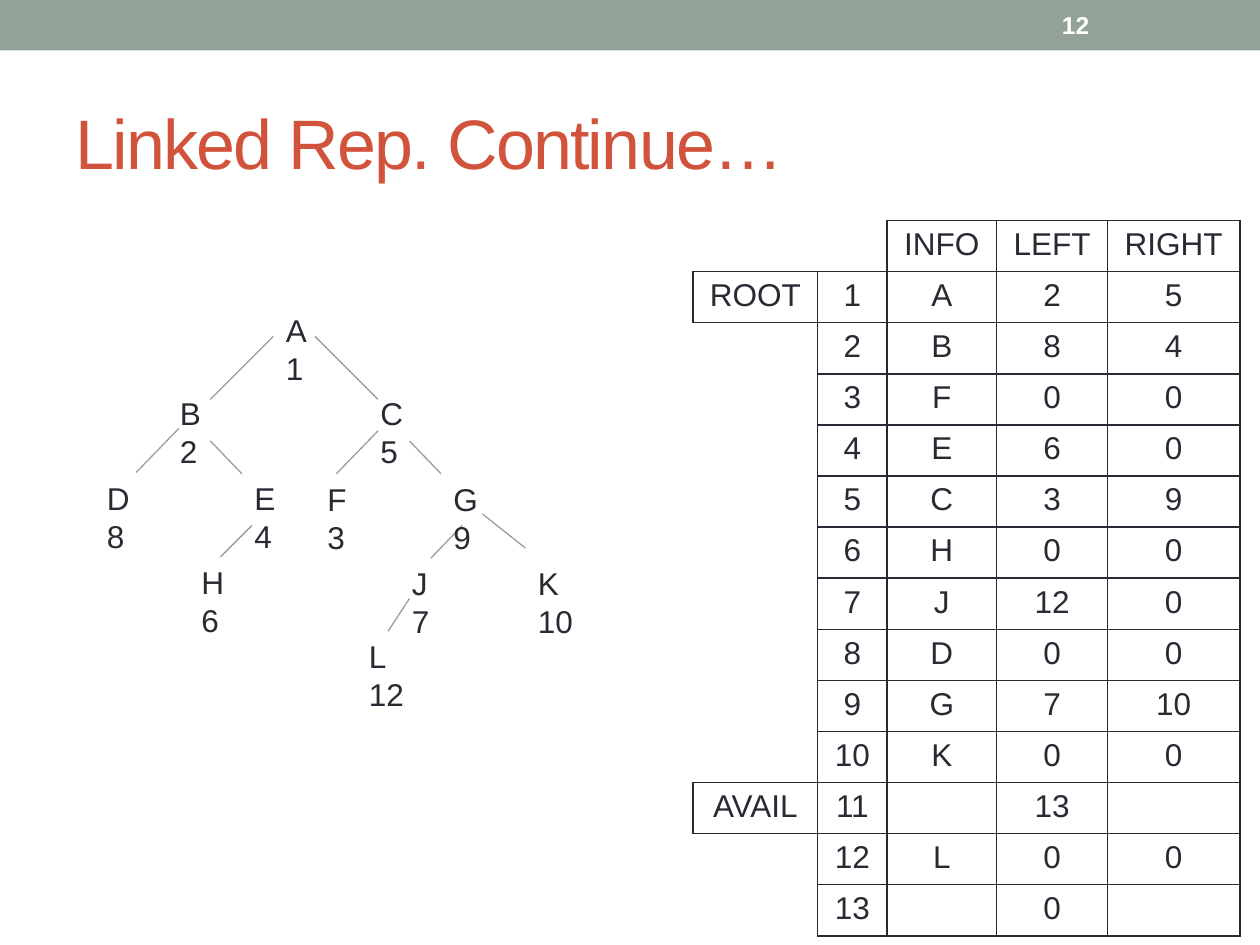
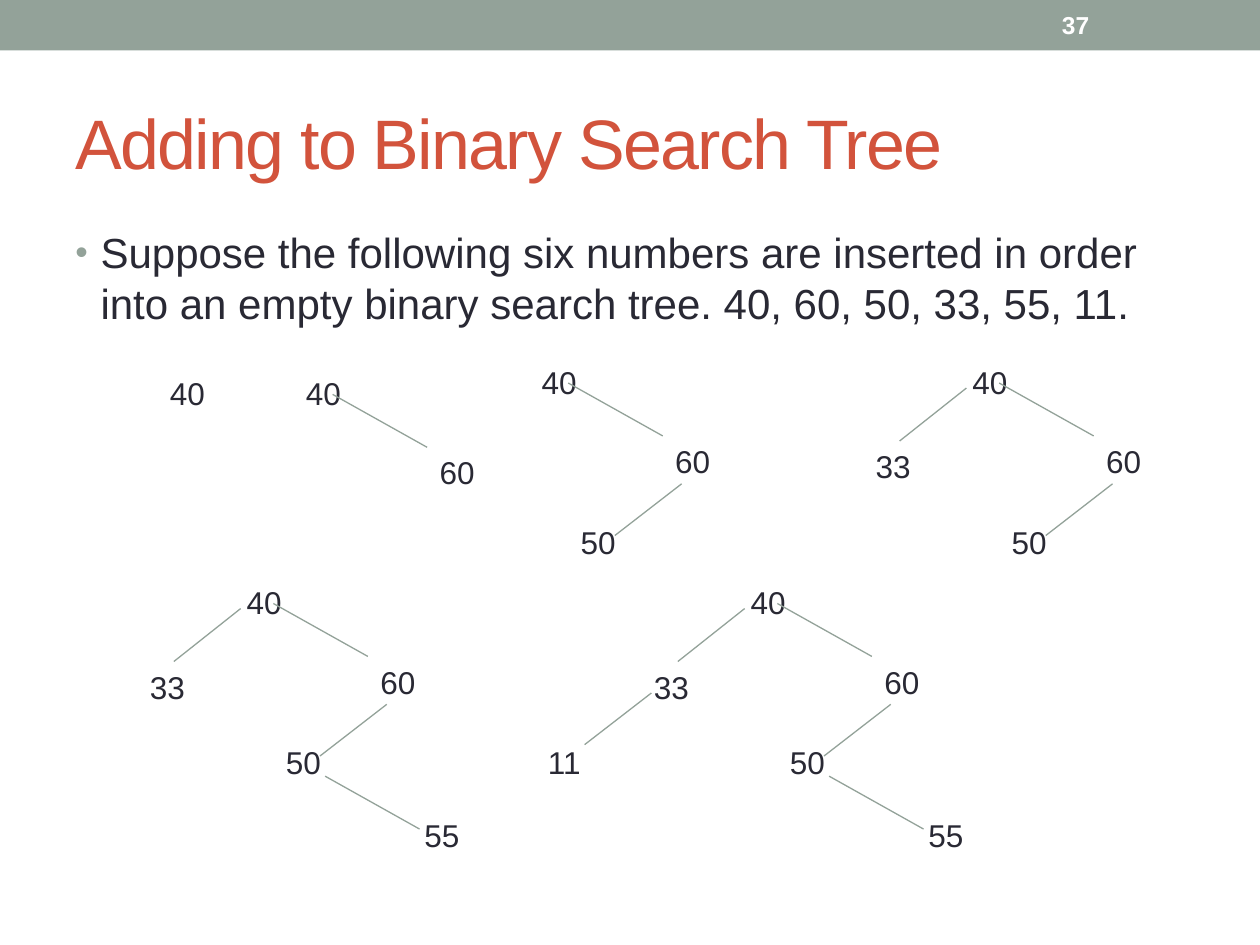
import pptx
import pptx.dml.color
import pptx.enum.shapes
import pptx.enum.text
import pptx.oxml
import pptx.oxml.ns
import pptx.util
from pptx.util import Inches

FONT = "Arial"
SAGE = "93A299"
RUST = "D2533C"
INK = "292934"
WHITE = "FFFFFF"

TABLE_ROWS = [
    ["", "", "INFO", "LEFT", "RIGHT"],
    ["ROOT", "1", "A", "2", "5"],
    ["", "2", "B", "8", "4"],
    ["", "3", "F", "0", "0"],
    ["", "4", "E", "6", "0"],
    ["", "5", "C", "3", "9"],
    ["", "6", "H", "0", "0"],
    ["", "7", "J", "12", "0"],
    ["", "8", "D", "0", "0"],
    ["", "9", "G", "7", "10"],
    ["", "10", "K", "0", "0"],
    ["AVAIL", "11", "", "13", ""],
    ["", "12", "L", "0", "0"],
    ["", "13", "", "0", ""],
]
COLUMN_WIDTHS = [0.99, 0.55, 0.87, 0.88, 1.05]
SIDES = {"lnL": (0, -1), "lnR": (0, 1), "lnT": (-1, 0), "lnB": (1, 0)}

LINKED_NODES = [
    ("A1", 2.17, 2.42, 0.33),
    ("B2", 1.33, 3.08, 0.33),
    ("C5", 2.92, 3.08, 0.33),
    ("D8", 0.75, 3.75, 0.33),
    ("E4", 1.92, 3.75, 0.33),
    ("F3", 2.5, 3.76, 0.33),
    ("G9", 3.5, 3.76, 0.33),
    ("H6", 1.5, 4.42, 0.33),
    ("J7", 3.17, 4.43, 0.33),
    ("K\n10", 4.17, 4.43, 0.58),
    ("L\n12", 2.83, 5.01, 0.54),
]
LINKED_BRANCHES = [
    (2.17, 2.67, 1.67, 3.17),
    (2.5, 2.67, 3, 3.17),
    (1.42, 3.4, 1.08, 3.75),
    (1.67, 3.5, 1.92, 3.76),
    (3, 3.42, 2.67, 3.76),
    (3.25, 3.5, 3.5, 3.76),
    (2, 4.17, 1.75, 4.42),
    (3.67, 4.17, 3.42, 4.43),
    (3.83, 4.08, 4.17, 4.35),
    (3.25, 4.75, 3.08, 5.01),
]

# Offsets from the root: number, its place, and the branch that leads to it
INSERTIONS = [
    ("40", (0, 0), None),
    ("60", (1.06, 0.63), (0.31, 0.21, 1.06, 0.63)),
    ("50", (0.31, 1.27), (1.21, 1.01, 0.68, 1.42)),
    ("33", (-0.77, 0.67), (0.05, 0.25, -0.48, 0.67)),
    ("55", (1.41, 1.85), (0.72, 1.58, 1.47, 2)),
    ("11", (-1.61, 1.27), (-0.69, 0.92, -1.22, 1.33)),
]
TREE_ROOTS = [
    (1.25, 2.92), (2.33, 2.92), (4.2, 2.83),
    (7.62, 2.83), (1.86, 4.58), (5.86, 4.58),
]


def color(value):
    return pptx.dml.color.RGBColor.from_string(value)


def write_text(frame, text, size=18, fill=INK, bold=False, align=None, spacing=None):
    frame.word_wrap = True
    for index, line in enumerate(text.split("\n")):
        paragraph = frame.add_paragraph() if index else frame.paragraphs[0]
        paragraph.alignment = align
        paragraph.font.size = pptx.util.Pt(size)
        run = paragraph.add_run()
        run.text = line
        run.font.name = FONT
        run.font.size = pptx.util.Pt(size)
        run.font.bold = bold
        run.font.color.rgb = color(fill)
        if spacing:
            run.font._element.set("spc", str(spacing))


def add_text(shapes, text, left, top, width, height, middle=False, **style):
    box = shapes.add_textbox(Inches(left), Inches(top), Inches(width), Inches(height))
    if middle:
        box.text_frame.vertical_anchor = pptx.enum.text.MSO_ANCHOR.MIDDLE
    write_text(box.text_frame, text, **style)
    return box


def add_node(shapes, text, left, top, width, height):
    box = add_text(shapes, text, left, top, width, height)
    box.text_frame.margin_right = 0


def add_branch(shapes, x1, y1, x2, y2):
    branch = shapes.add_connector(
        pptx.enum.shapes.MSO_CONNECTOR.STRAIGHT,
        Inches(x1), Inches(y1), Inches(x2), Inches(y2))
    branch.line.color.rgb = color(SAGE)
    branch.line.width = pptx.util.Pt(0.75)
    properties = branch._element.spPr
    properties.append(properties.makeelement(pptx.oxml.ns.qn("a:effectLst"), {}))


def add_bullet(paragraph):
    properties = paragraph._p.get_or_add_pPr()
    properties.set("marL", str(Inches(0.2)))
    properties.set("indent", str(Inches(-0.2)))
    namespace = pptx.oxml.ns.nsdecls("a")
    for markup in (
        f'<a:buClr {namespace}><a:srgbClr val="{SAGE}"/></a:buClr>',
        f'<a:buSzPct {namespace} val="85000"/>',
        f'<a:buFont {namespace} typeface="{FONT}"/>',
        f'<a:buChar {namespace} char="•"/>',
    ):
        properties.append(pptx.oxml.parse_xml(markup))


def start_slide(presentation, title, number):
    slide = presentation.slides.add_slide(presentation.slide_layouts[6])
    band = slide.shapes.add_shape(
        pptx.enum.shapes.MSO_SHAPE.RECTANGLE, 0, 0, Inches(10), Inches(0.4))
    band.shadow.inherit = False
    band.fill.solid()
    band.fill.fore_color.rgb = color(SAGE)
    band.line.fill.background()
    add_text(slide.shapes, title, 0.5, 0.58, 9, 1.08, middle=True,
             size=40, fill=RUST, spacing=-100)
    add_text(slide.shapes, number, 8.33, 0.02, 1.17, 0.36, middle=True,
             size=14, fill=WHITE, bold=True)
    return slide


def is_framed(row, column):
    if not (0 <= row < len(TABLE_ROWS) and 0 <= column < len(COLUMN_WIDTHS)):
        return False
    return column >= 2 or (column == 1 and row >= 1) or TABLE_ROWS[row][column] != ""


def set_borders(cell, row, column):
    properties = cell._tc.get_or_add_tcPr()
    namespace = pptx.oxml.ns.nsdecls("a")
    for index, (side, (down, right)) in enumerate(SIDES.items()):
        drawn = is_framed(row, column) or is_framed(row + down, column + right)
        paint = (f'<a:solidFill><a:srgbClr val="{INK}"/></a:solidFill>'
                 if drawn else "<a:noFill/>")
        properties.insert(index, pptx.oxml.parse_xml(
            f'<a:{side} {namespace} w="12700">{paint}</a:{side}>'))


def add_link_table(slide):
    table = slide.shapes.add_table(
        len(TABLE_ROWS), len(COLUMN_WIDTHS),
        Inches(5.5), Inches(1.75), Inches(4.33), Inches(5.68)).table
    table.first_row = False
    table.horz_banding = False
    for column, width in zip(table.columns, COLUMN_WIDTHS):
        column.width = Inches(width)
    for row, values in enumerate(TABLE_ROWS):
        for column, value in enumerate(values):
            cell = table.cell(row, column)
            cell.fill.background()
            set_borders(cell, row, column)
            if value:
                write_text(cell.text_frame, value, align=pptx.enum.text.PP_ALIGN.CENTER)


def add_linked_tree(slide):
    shapes = slide.shapes.add_group_shape().shapes
    for branch in LINKED_BRANCHES:
        add_branch(shapes, *branch)
    for text, left, top, width in LINKED_NODES:
        add_node(shapes, text, left, top, width, 0.71)


def add_search_tree(slide, root, count):
    shapes = slide.shapes.add_group_shape().shapes if count > 1 else slide.shapes
    x, y = root
    for number, (right, down), branch in INSERTIONS[:count]:
        if branch:
            x1, y1, x2, y2 = branch
            add_branch(shapes, x + x1, y + y1, x + x2, y + y2)
        add_node(shapes, number, x + right, y + down, 0.48 if branch else 0.53, 0.4)


def main():
    presentation = pptx.Presentation()
    presentation.slide_width = Inches(10)
    presentation.slide_height = Inches(7.5)

    slide = start_slide(presentation, "Linked Rep. Continue…", "12")
    add_link_table(slide)
    add_linked_tree(slide)

    slide = start_slide(presentation, "Adding to Binary Search Tree", "37")
    body = add_text(
        slide.shapes,
        "Suppose the following six numbers are inserted in order into an empty "
        "binary search tree. 40, 60, 50, 33, 55, 11.",
        0.5, 1.75, 9, 5.33, size=24)
    paragraph = body.text_frame.paragraphs[0]
    paragraph.space_before = pptx.util.Pt(4.8)
    add_bullet(paragraph)
    for count, root in enumerate(TREE_ROOTS, start=1):
        add_search_tree(slide, root, count)

    presentation.save("out.pptx")


if __name__ == "__main__":
    main()
